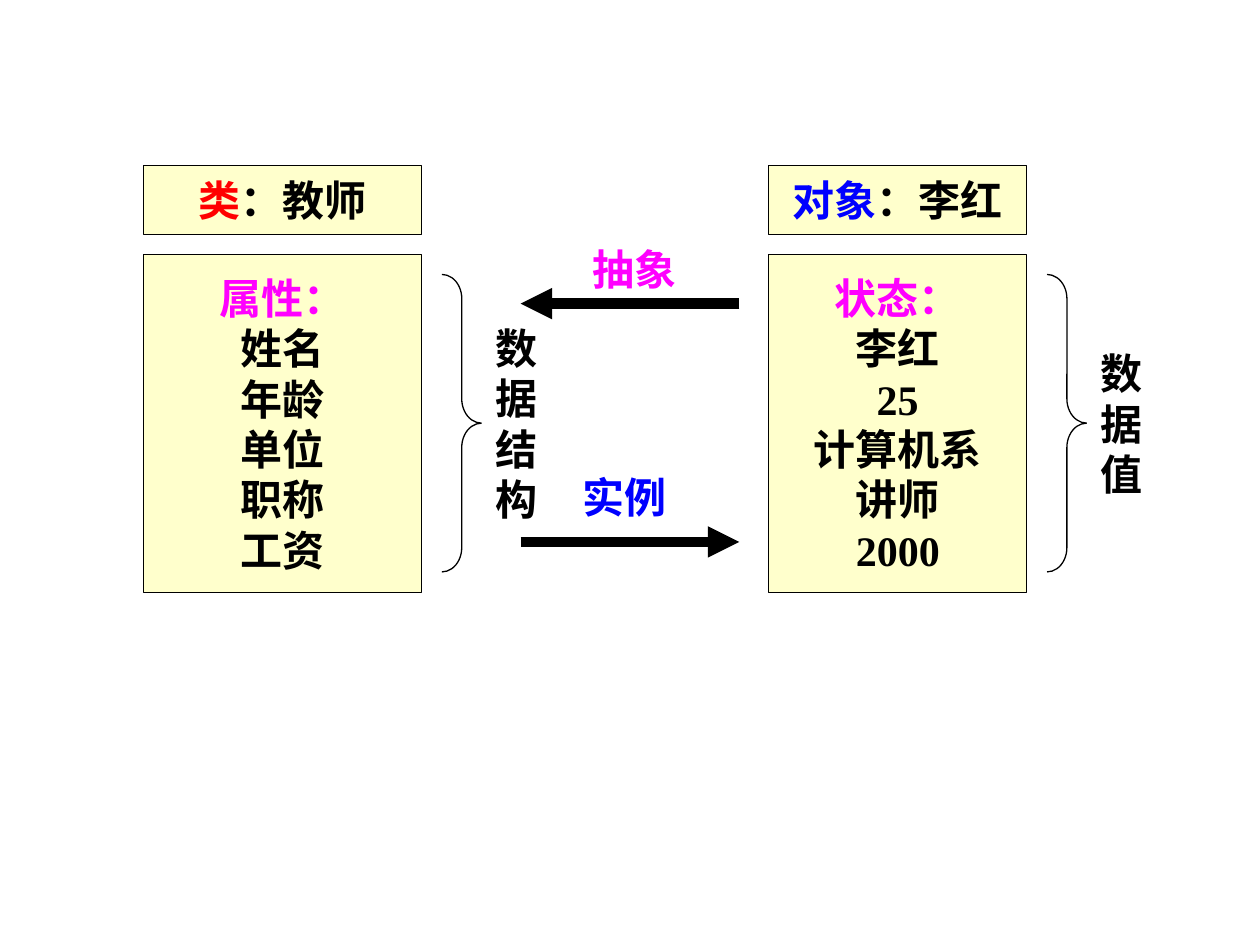
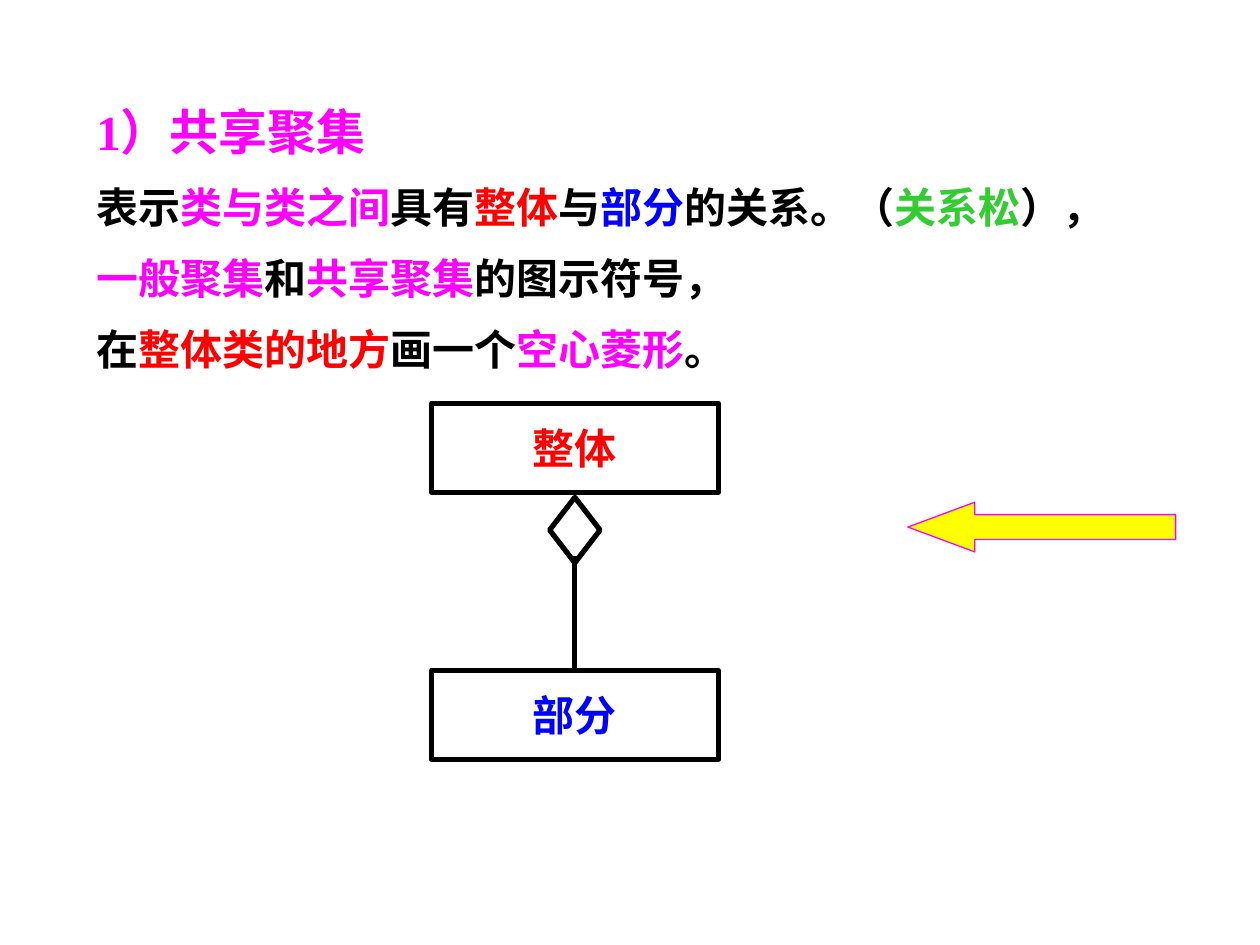
from dataclasses import dataclass
from typing import Any, Optional

from lxml.etree import SubElement
from pptx import Presentation
from pptx.dml.color import RGBColor
from pptx.enum.shapes import MSO_CONNECTOR, MSO_SHAPE as Preset
from pptx.enum.text import MSO_ANCHOR as Anchor, PP_ALIGN as Align
from pptx.oxml.ns import qn
from pptx.util import Pt

BLACK, WHITE, CREAM = "000000", "FFFFFF", "FFFFCC"
RED, BLUE, MAGENTA, GREEN, YELLOW = "FF0000", "0000FF", "FF00FF", "33CC33", "FFFF00"

BODY_FONT = {"name": "Times New Roman", "size": Pt(24), "bold": True}
HEADING_FONT = BODY_FONT | {"size": Pt(28)}
MARGINS = {"margin_left": Pt(7.2), "margin_right": Pt(7.2),
           "margin_top": Pt(3.6), "margin_bottom": Pt(3.6)}
CENTRED_FRAME = MARGINS | {"word_wrap": False, "vertical_anchor": Anchor.MIDDLE}
PROSE_FRAME = MARGINS | {"word_wrap": True, "vertical_anchor": Anchor.TOP}
CENTRED = {"alignment": Align.CENTER}
HEADING = {"alignment": Align.LEFT}
PROSE = {"alignment": Align.LEFT, "line_spacing": 1.2, "space_before": Pt(6)}

Line = list[tuple[str, str]]  # coloured pieces of one paragraph


@dataclass
class Box:
    left: float
    top: float
    width: float
    height: float


@dataclass
class Look:
    preset: Preset = Preset.RECTANGLE
    fill: Optional[str] = None
    line: Optional[str] = BLACK
    weight: float = 0.75
    adjustments: tuple[float, ...] = ()


@dataclass
class Entity:
    """A named class or object: its heading, its members and the braced label."""
    left: float
    width: float
    name: Line
    members: list[Line]
    label: str


@dataclass
class Relation:
    text: str
    color: str
    text_box: Box
    start: float
    end: float
    y: float


PANEL = Look(fill=CREAM)
LABEL = Look(fill=WHITE, line=None)
BRACE = Look(Preset.RIGHT_BRACE, adjustments=(0.61, 0.5))
NODE = Look(weight=3)
HOLLOW_DIAMOND = Look(Preset.DIAMOND, fill=WHITE, weight=3)
POINTER = Look(Preset.LEFT_ARROW, YELLOW, MAGENTA, adjustments=(0.5, 1.348))


def rgb(color: str) -> RGBColor:
    return RGBColor.from_string(color)


def apply(target: Any, values: dict[str, Any]) -> None:
    for name, value in values.items():
        setattr(target, name, value)


def place(box: Box) -> tuple[Pt, Pt, Pt, Pt]:
    return Pt(box.left), Pt(box.top), Pt(box.width), Pt(box.height)


def add_line(paragraph: Any, line: Line, layout: dict, font: dict) -> None:
    apply(paragraph, layout)
    for text, color in line:
        run = paragraph.add_run()
        run.text = text
        apply(run.font, font)
        run.font.color.rgb = rgb(color)


def write_centred(shape: Any, lines: list[Line]) -> None:
    frame = shape.text_frame
    apply(frame, CENTRED_FRAME)
    for index, line in enumerate(lines):
        paragraph = frame.add_paragraph() if index else frame.paragraphs[0]
        add_line(paragraph, line, CENTRED, BODY_FONT)


def draw_shape(slide: Any, box: Box, look: Look, lines: Optional[list[Line]] = None) -> None:
    shape = slide.shapes.add_shape(look.preset, *place(box))
    shape.shadow.inherit = False
    for index, value in enumerate(look.adjustments):
        shape.adjustments[index] = value
    if look.fill:
        shape.fill.solid()
        shape.fill.fore_color.rgb = rgb(look.fill)
    else:
        shape.fill.background()
    if look.line:
        shape.line.color.rgb = rgb(look.line)
        shape.line.width = Pt(look.weight)
    else:
        shape.line.fill.background()
    if lines:
        write_centred(shape, lines)


def draw_line(slide: Any, start: tuple[float, float], end: tuple[float, float],
              weight: float, arrow: bool = False) -> None:
    line = slide.shapes.add_connector(
        MSO_CONNECTOR.STRAIGHT, *(Pt(value) for value in start + end))
    line.line.color.rgb = rgb(BLACK)
    line.line.width = Pt(weight)
    if arrow:
        SubElement(line.line._get_or_add_ln(), qn("a:tailEnd"), type="triangle")
    SubElement(line._element.spPr, qn("a:effectLst"))


def draw_entity(slide: Any, entity: Entity) -> None:
    brace_left = entity.left + entity.width + 11.5
    draw_shape(slide, Box(entity.left, 145.5, entity.width, 193), PANEL, entity.members)
    draw_shape(slide, Box(entity.left, 94.5, entity.width, 39.6), PANEL, [entity.name])
    draw_shape(slide, Box(brace_left, 156.8, 22.7, 170), BRACE)
    draw_shape(slide, Box(brace_left + 22.7, 168, 39.6, 147.6), LABEL,
               [[(character, BLACK)] for character in entity.label])


def draw_relation(slide: Any, relation: Relation) -> None:
    draw_line(slide, (relation.start, relation.y), (relation.end, relation.y), 6, arrow=True)
    caption = slide.shapes.add_textbox(*place(relation.text_box))
    write_centred(caption, [[(relation.text, relation.color)]])


def build_class_and_object(slide: Any) -> None:
    entities = [
        Entity(82, 159, [("类", RED), ("：教师", BLACK)],
               [[("属性：", MAGENTA)]]
               + [[(text, BLACK)] for text in ("姓名", "年龄", "单位", "职称", "工资")],
               "数据结构"),
        Entity(439.2, 147.6, [("对象", BLUE), ("：李红", BLACK)],
               [[("状态：", MAGENTA)]]
               + [[(text, BLACK)] for text in ("李红", "25", "计算机系", "讲师", "2000")],
               "数据值"),
    ]
    near_class, near_object = 297.5, 422.5
    relations = [
        Relation("抽象", MAGENTA, Box(303, 128.2, 119, 51), near_object, near_class, 173.5),
        Relation("实例", BLUE, Box(297.4, 258.5, 119, 51), near_class, near_object, 309.7),
    ]
    for entity in entities:
        draw_entity(slide, entity)
    for relation in relations:
        draw_relation(slide, relation)


def build_shared_aggregation(slide: Any) -> None:
    heading: Line = [("1）共享聚集", MAGENTA)]
    explanation: list[Line] = [
        [("表示", BLACK), ("类与类之间", MAGENTA), ("具有", BLACK), ("整体", RED),
         ("与", BLACK), ("部分", BLUE), ("的关系。（", BLACK), ("关系松", GREEN),
         ("），", BLACK)],
        [("一般聚集", MAGENTA), ("和", BLACK), ("共享聚集", MAGENTA),
         ("的图示符号，", BLACK)],
        [("在", BLACK), ("整体类的地方", RED), ("画一个", BLACK),
         ("空心菱形", MAGENTA), ("。", BLACK)],
    ]
    prose = slide.shapes.add_textbox(*place(Box(48, 54.7, 624, 461.5))).text_frame
    apply(prose, PROSE_FRAME)
    add_line(prose.paragraphs[0], heading, HEADING, HEADING_FONT)
    for line in explanation:
        add_line(prose.add_paragraph(), line, PROSE, BODY_FONT)

    axis, node_width, part_top = 328.5, 164, 383
    for text, color, top in (("整体", RED, 230.4), ("部分", BLUE, part_top)):
        draw_shape(slide, Box(axis - node_width / 2, top, node_width, 51), NODE,
                   [[(text, color)]])
    draw_shape(slide, Box(axis - 14.4, 284.2, 28.8, 37.4), HOLLOW_DIAMOND)
    draw_line(slide, (axis, 317.7), (axis, part_top), 3)
    draw_shape(slide, Box(518.8, 287, 153, 28.4), POINTER)


def main() -> None:
    deck = Presentation()
    deck.slide_width, deck.slide_height = Pt(720), Pt(540)
    blank = deck.slide_layouts[6]
    for build in (build_class_and_object, build_shared_aggregation):
        build(deck.slides.add_slide(blank))
    deck.save("out.pptx")


if __name__ == "__main__":
    main()
